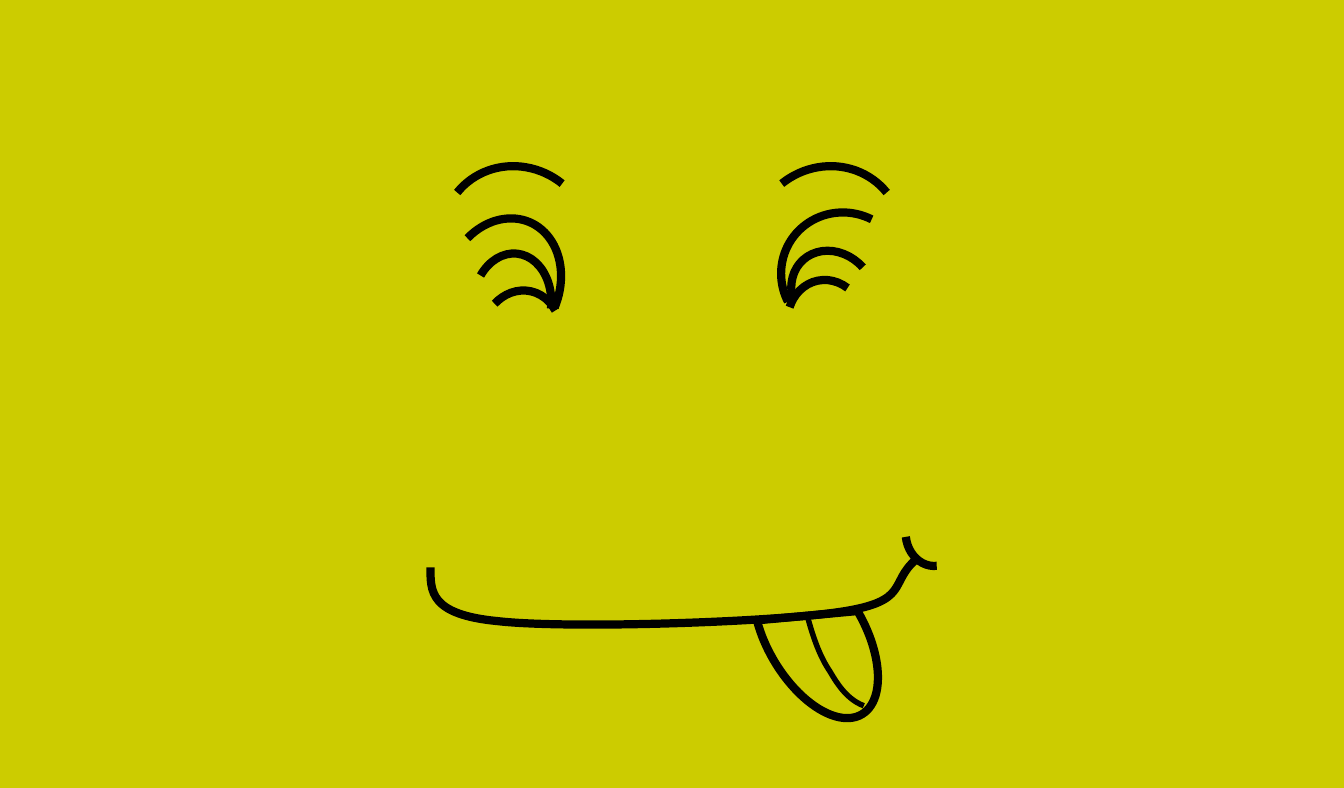
from lxml.etree import SubElement
from pptx import Presentation
from pptx.dml.color import RGBColor
from pptx.enum.shapes import MSO_SHAPE as Preset
from pptx.oxml.ns import qn
from pptx.util import Pt

PX = 9144
BLACK = "000000"
OPEN = (130.338, 0)
WIDE = (126.229, 0)
SHORT = (130.338, 186.471)
QUARTER = (162, 0)
TONGUE = (27, 162)


def color(hex_text):
    return RGBColor.from_string(hex_text)


def outline(shape, rotation, width):
    shape.rotation = rotation
    shape.shadow.inherit = False
    shape.fill.background()
    shape.line.color.rgb = color(BLACK)
    shape.line.width = Pt(width)


presentation = Presentation()
presentation.slide_width = 1024 * PX
presentation.slide_height = 600 * PX
slide = presentation.slides.add_slide(presentation.slide_layouts[6])
slide.background.fill.solid()
slide.background.fill.fore_color.rgb = color("CCCC00")

lashes = [
    (Preset.ARC, (605, 189, 60, 69), 318.3, OPEN, False),
    (Preset.ARC, (600, 213, 60, 69), 348.4, SHORT, False),
    (Preset.ARC, (596, 161, 94, 96), 296.8, OPEN, False),
    (Preset.ARC, (360, 193, 60, 78), 5.7, OPEN, False),
    (Preset.ARC, (367, 221, 60, 69), 13.1, SHORT, False),
    (Preset.ARC, (340, 165, 86, 105), 23, WIDE, False),
]
brows = [
    (Preset.ARC, (338, 125, 111, 116), 308.9, QUARTER, False),
    (Preset.ARC, (575, 125, 111, 116), 51.1, QUARTER, True),
]
dimple = (Preset.ARC, (690, 382, 42, 49), 173.7, QUARTER, False)
tongue = (Preset.CHORD, (552, 447, 139, 74), 59.6, TONGUE, True)

for preset, box, rotation, angles, mirrored in [*lashes, *brows, dimple, tongue]:
    shape = slide.shapes.add_shape(preset, *[length * PX for length in box])
    shape.adjustments[0], shape.adjustments[1] = angles
    outline(shape, rotation, 4.5)
    if mirrored:
        shape.element.spPr.find(qn("a:xfrm")).set("flipH", "1")

smile = (0, 4.5, (328, 432), [
    (328, 450), (327, 468), (379, 473),
    (431, 479), (587, 474), (640, 466),
    (694, 458), (677, 444), (698, 426)])
tongue_crease = (348.2, 3, (623, 468), [
    (624, 483), (626, 498), (631, 510),
    (635, 522), (640, 534), (651, 541)])

for rotation, width, start, points in [smile, tongue_crease]:
    builder = slide.shapes.build_freeform(*start, scale=PX)
    builder.add_line_segments(points, close=False)
    shape = builder.convert_to_shape()
    outline(shape, rotation, width)
    path = next(shape.element.iter(qn("a:path")))
    segments = path.findall(qn("a:lnTo"))
    for first in range(0, len(segments), 3):
        bezier = SubElement(path, qn("a:cubicBezTo"))
        for segment in segments[first:first + 3]:
            bezier.append(segment[0])
            path.remove(segment)

presentation.save("out.pptx")
